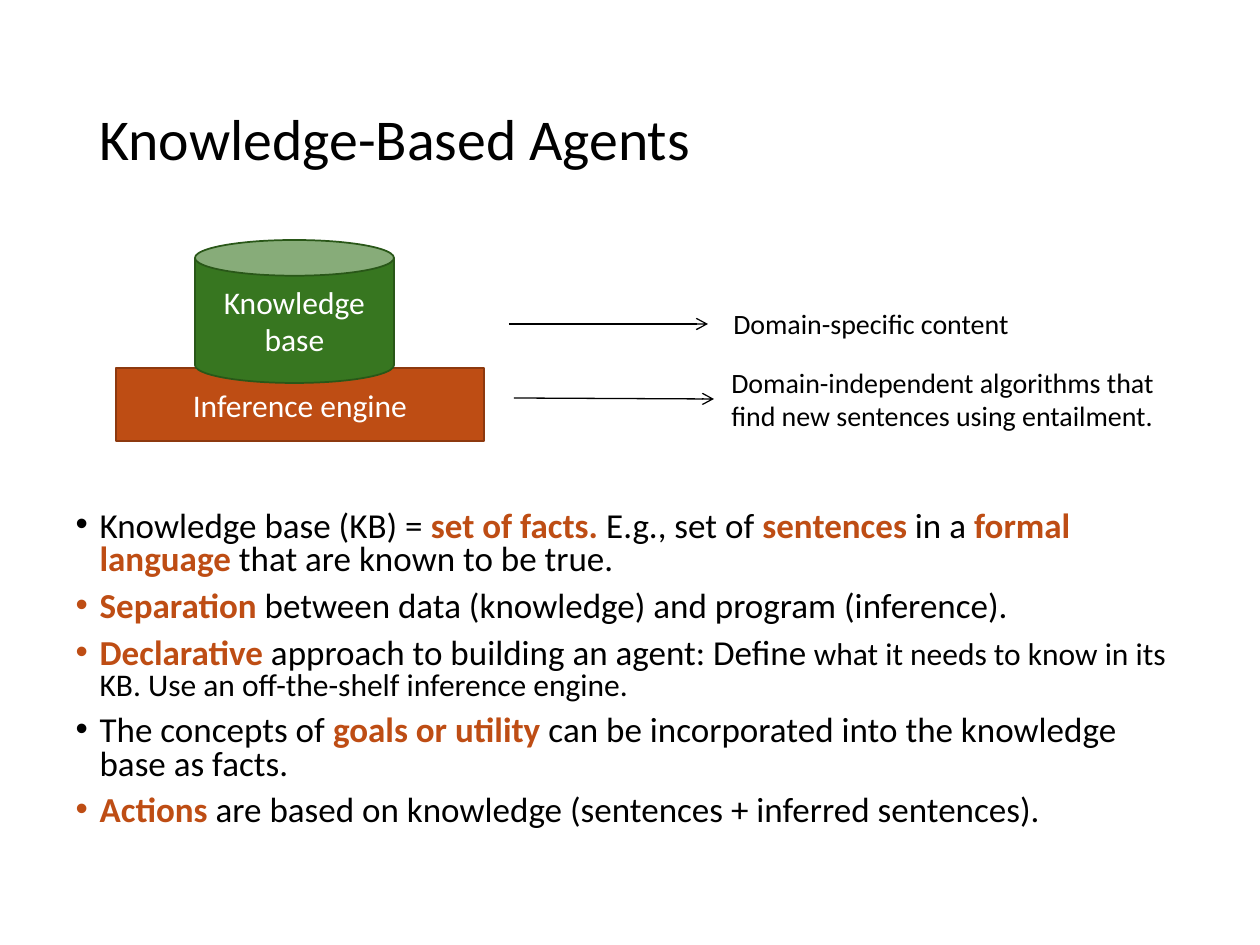
from pptx import Presentation
from pptx.dml.color import RGBColor
from pptx.enum.shapes import MSO_CONNECTOR, MSO_SHAPE as Shape
from pptx.enum.text import MSO_ANCHOR as Anchor, MSO_AUTO_SIZE as Fit, PP_ALIGN as Align
from pptx.oxml.ns import qn
from pptx.util import Pt
from lxml.etree import SubElement

PX = 914400 / 126
ORANGE, BLACK, WHITE = "BE4D14", "000000", "FFFFFF"


def px(*sizes):
    """Turn pixel lengths into EMU."""
    return [round(n * PX) for n in sizes]


def color(code):
    return RGBColor.from_string(code)


deck = Presentation()
deck.slide_width, deck.slide_height = px(1260, 945)
slide = deck.slides.add_slide(deck.slide_layouts[1])
title, body = slide.placeholders

# Title
title.left, title.top, title.width, title.height = px(87, 50, 1086, 183)
frame = title.text_frame
frame.text = "Knowledge-Based Agents"
frame.auto_size = Fit.NONE
frame.vertical_anchor = Anchor.MIDDLE
para = frame.paragraphs[0]
para.alignment = Align.LEFT
para.line_spacing = 0.9
para.font.size = Pt(33)
para.font.name = "Calibri"
para.font.color.rgb = color(BLACK)

# Bullets: runs of text and style (n = normal, b = bold orange, s = small)
points = [
    [("Knowledge base (KB) = ", "n"), ("set of facts.", "b"), (" E.g., set of ", "n"),
     ("sentences", "b"), (" in a ", "n"), ("formal language", "b"),
     (" that are known to be true.", "n")],
    [("Separation", "b"), (" between data (knowledge) and program (inference).", "n")],
    [("Declarative", "b"), (" approach to building an agent: Define", "n"),
     (" what it needs to know in its KB. Use an off-the-shelf inference engine.", "s")],
    [("The concepts of ", "n"), ("goals or utility ", "b"),
     ("can be incorporated into the knowledge base as facts.", "n")],
    [("Actions", "b"), (" are based on knowledge (sentences + inferred sentences).", "n")],
]
body.left, body.top, body.width, body.height = px(63, 505, 1134, 357)
frame = body.text_frame
frame.auto_size = Fit.NONE
for i, point in enumerate(points):
    para = frame.add_paragraph() if i else frame.paragraphs[0]
    para.line_spacing = 0.8
    para.space_before = Pt(7.5)
    para.font.name = "Calibri"
    indent = px(24)[0]
    props = para._p.get_or_add_pPr()
    props.set("marL", str(indent))
    props.set("indent", str(-indent))
    for text, style in point:
        run = para.add_run()
        run.text = text
        run.font.size = Pt(18 if style == "s" else 20)
        run.font.bold = style == "b"
        run.font.color.rgb = color(ORANGE if style == "b" else BLACK)

# Engine with the knowledge base standing on it
blocks = [
    (Shape.RECTANGLE, "Inference engine", (116, 368, 368, 73), ORANGE, "8D390F"),
    (Shape.CAN, "Knowledge base", (195, 240, 199, 143), "377620", "295718"),
]
for kind, text, box, fill, edge in blocks:
    block = slide.shapes.add_shape(kind, *px(*box))
    block.shadow.inherit = False
    block.fill.solid()
    block.fill.fore_color.rgb = color(fill)
    block.line.color.rgb = color(edge)
    block.line.width = Pt(1)
    frame = block.text_frame
    frame.text = text
    frame.vertical_anchor = Anchor.MIDDLE
    para = frame.paragraphs[0]
    para.alignment = Align.CENTER
    para.font.size = Pt(18)
    para.font.name = "Calibri"
    para.font.color.rgb = color(WHITE)

# Arrows and the notes they point to
notes = [
    ("Domain-specific content", (708, 300, 326, 47), Align.CENTER, (509, 324, 708, 324)),
    ("Domain-independent algorithms that\vfind new sentences using entailment.",
     (719, 359, 452, 81), Align.LEFT, (514, 398, 714, 399)),
]
for text, box, align, ends in notes:
    arrow = slide.shapes.add_connector(MSO_CONNECTOR.STRAIGHT, *px(*ends))
    arrow.line.color.rgb = color(BLACK)
    arrow.line.width = Pt(0.75)
    SubElement(arrow.line._get_or_add_ln(), qn("a:tailEnd"), type="arrow")
    SubElement(arrow._element.spPr, qn("a:effectLst"))

    note = slide.shapes.add_textbox(*px(*box))
    frame = note.text_frame
    frame.text = text
    frame.word_wrap = False
    frame.auto_size = Fit.SHAPE_TO_FIT_TEXT
    para = frame.paragraphs[0]
    para.alignment = align
    para.font.size = Pt(16)
    para.font.name = "Calibri"
    para.font.color.rgb = color(BLACK)

deck.save("out.pptx")
